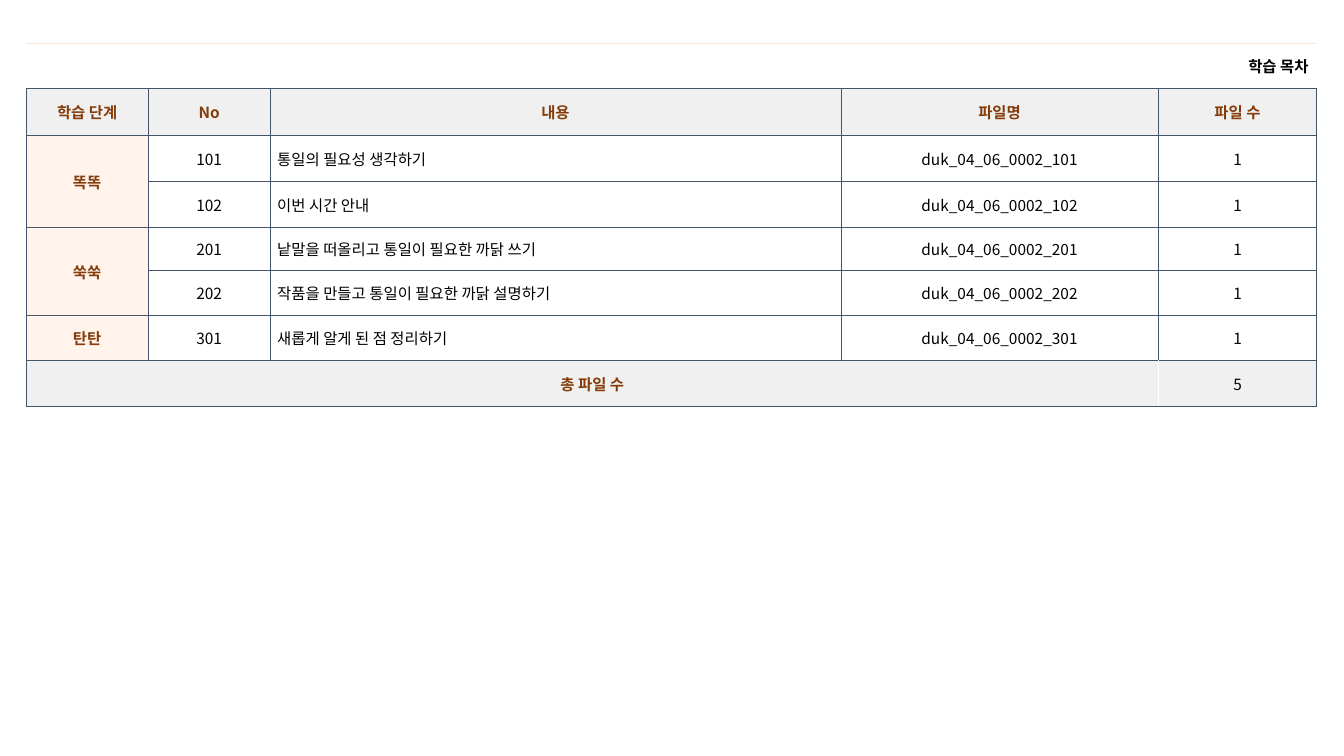
from lxml import etree
from pptx import Presentation
from pptx.dml import color
from pptx.enum import text
from pptx.oxml import ns
from pptx.util import Inches, Pt

FONT = "Noto Sans CJK KR"
BROWN, BLACK = "843C0B", "000000"
GRAY, PEACH, WHITE = "F1F0F0", "FFF3EB", "FFFFFF"
NAVY, PALE = "44546A", "FBE5D6"

LEFT, TOP = 0.26, 0.43
COLUMNS = [1.21, 1.21, 5.66, 3.15, 1.57]
ROWS = [0.45, 0.46, 0.46, 0.46, 0.42, 0.45, 0.45, 0.45]
TITLE = "학습 목차"
HEADINGS = ["학습 단계", "No", "내용", "파일명", "파일 수"]
LESSONS = [
    ("똑똑", "101", "통일의 필요성 생각하기"),
    ("", "102", "이번 시간 안내"),
    ("쑥쑥", "201", "낱말을 떠올리고 통일이 필요한 까닭 쓰기"),
    ("", "202", "작품을 만들고 통일이 필요한 까닭 설명하기"),
    ("탄탄", "301", "새롭게 알게 된 점 정리하기"),
]
TOTAL = ["총 파일 수", "", "", "", str(len(LESSONS))]
MERGES = [((0, 0), (0, 4)), ((2, 0), (3, 0)), ((4, 0), (5, 0)), ((7, 0), (7, 3))]
EDGES = {"lnL": (0, -1), "lnR": (0, 1), "lnT": (-1, 0), "lnB": (1, 0)}


def rgb(value):
    return color.RGBColor.from_string(value)


def apply(target, values):
    for name, value in values.items():
        setattr(target, name, value)


def add_border(cell, edge, value, width):
    props = cell._tc.get_or_add_tcPr()
    line = etree.SubElement(props, ns.qn(f"a:{edge}"), w=str(Pt(width)))
    if value:
        fill = etree.SubElement(line, ns.qn("a:solidFill"))
        etree.SubElement(fill, ns.qn("a:srgbClr"), val=value)
    else:
        etree.SubElement(line, ns.qn("a:noFill"))


def border_style(row, edge):
    if row == 0 and edge != "lnB":
        return (PALE if edge == "lnT" else None), 0.25
    return NAVY, 0.5


def look(row, col):
    if row == 0:
        return None, BLACK, True
    if row == 1:
        return GRAY, BROWN, True
    if row == len(ROWS) - 1:
        return (GRAY, BROWN, True) if col == 0 else (GRAY, BLACK, False)
    return (PEACH, BROWN, True) if col == 0 else (WHITE, BLACK, False)


def alignment(row, col):
    if row == 0:
        return text.PP_ALIGN.RIGHT
    is_lesson = 1 < row < len(ROWS) - 1
    return text.PP_ALIGN.LEFT if is_lesson and col == 2 else text.PP_ALIGN.CENTER


def write(cell, words, row, col):
    fill, ink, bold = look(row, col)
    side = Inches(0.08 if row == 0 else 0.07)
    apply(cell, {
        "vertical_anchor": text.MSO_ANCHOR.MIDDLE,
        "margin_left": side, "margin_right": side,
        "margin_top": Inches(0.05), "margin_bottom": Inches(0.05),
    })
    para = cell.text_frame.paragraphs[0]
    para.alignment = alignment(row, col)
    if words:
        span = para.add_run()
        span.text = words
        apply(span.font, {"name": FONT, "size": Pt(11), "bold": bold})
        span.font.color.rgb = rgb(ink)
        etree.SubElement(span.font._element, ns.qn("a:ea"), typeface=FONT)
    return fill


def main():
    deck = Presentation()
    apply(deck, {"slide_width": Inches(13.33), "slide_height": Inches(7.5)})
    page = deck.slides.add_slide(deck.slide_layouts[6])
    frame = page.shapes.add_table(
        len(ROWS), len(COLUMNS), Inches(LEFT), Inches(TOP),
        Inches(sum(COLUMNS)), Inches(sum(ROWS)))
    table = frame.table
    apply(table, {"first_row": False, "horz_banding": False})
    for column, width in zip(table.columns, COLUMNS):
        column.width = Inches(width)
    for line, height in zip(table.rows, ROWS):
        line.height = Inches(height)

    owner = {(r, c): (r, c) for r in range(len(ROWS)) for c in range(len(COLUMNS))}
    for first, last in MERGES:
        table.cell(*first).merge(table.cell(*last))
        for r in range(first[0], last[0] + 1):
            for c in range(first[1], last[1] + 1):
                owner[r, c] = first

    lessons = [[stage, number, topic, f"duk_04_06_0002_{number}", "1"]
               for stage, number, topic in LESSONS]
    content = [[TITLE, "", "", "", ""], HEADINGS, *lessons, TOTAL]
    for (row, col), origin in owner.items():
        cell = table.cell(row, col)
        fill = write(cell, content[row][col], *origin)
        for edge, (down, across) in EDGES.items():
            if owner.get((row + down, col + across)) != origin:
                add_border(cell, edge, *border_style(row, edge))
        if fill:
            cell.fill.solid()
            cell.fill.fore_color.rgb = rgb(fill)
        else:
            cell.fill.background()
    deck.save("out.pptx")


if __name__ == "__main__":
    main()
